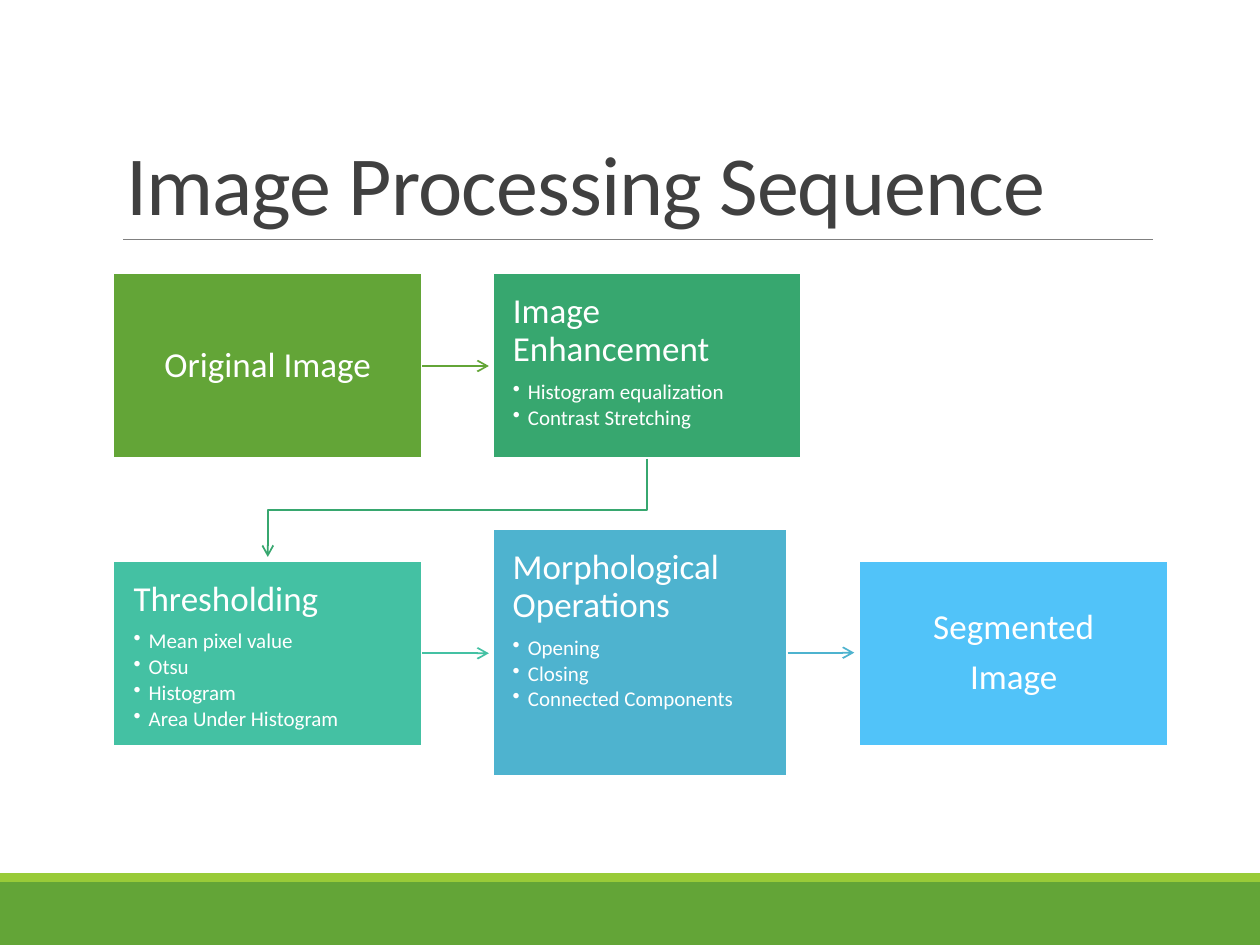
from dataclasses import dataclass

from lxml.etree import SubElement
from pptx import Presentation
from pptx.dml.color import RGBColor
from pptx.enum.shapes import MSO_CONNECTOR as Connector, MSO_SHAPE as Shape
from pptx.enum.text import MSO_ANCHOR as Anchor, MSO_AUTO_SIZE as AutoSize, PP_ALIGN as Align
from pptx.oxml.ns import qn
from pptx.util import Inches, Pt


@dataclass(frozen=True)
class Theme:
    font: str = "Calibri"
    title_size: float = 48
    heading_size: float = 20
    bullet_size: float = 12
    white: str = "FFFFFF"
    title: str = "404040"
    rule: str = "808080"
    green: str = "63A537"
    lime: str = "99CB38"
    emerald: str = "37A76F"
    teal: str = "44C1A3"
    blue: str = "4EB3CF"
    sky: str = "51C3F9"


def set_attributes(target, values):
    for name, value in values.items():
        setattr(target, name, value)


class SlideBuilder:
    def __init__(self, slide, theme):
        self.slide = slide
        self.theme = theme

    def add_text(self, paragraph, text, size, color, **paragraph_format):
        set_attributes(paragraph, paragraph_format)
        run = paragraph.add_run()
        run.text = text
        set_attributes(run.font, {"name": self.theme.font, "size": Pt(size)})
        run.font.color.rgb = RGBColor.from_string(color)
        return run

    def title(self, text, left, top, width, height):
        shape = self.slide.shapes.title
        set_attributes(shape, {"left": Inches(left), "top": Inches(top),
                               "width": Inches(width), "height": Inches(height)})
        frame = shape.text_frame
        set_attributes(frame, {"vertical_anchor": Anchor.BOTTOM, "word_wrap": True,
                               "auto_size": AutoSize.NONE})
        run = self.add_text(frame.paragraphs[0], text, self.theme.title_size,
                            self.theme.title, alignment=Align.LEFT, line_spacing=0.85)
        run._r.get_or_add_rPr().set("spc", "-50")

    def rectangle(self, left, top, width, height, color):
        shape = self.slide.shapes.add_shape(
            Shape.RECTANGLE, Inches(left), Inches(top), Inches(width), Inches(height))
        shape.shadow.inherit = False
        shape.fill.solid()
        shape.fill.fore_color.rgb = RGBColor.from_string(color)
        shape.line.fill.background()
        return shape

    def step(self, left, top, width, height, color, headings, bullets=()):
        """Add a process box: centred headings alone, or a heading above bullets."""
        shape = self.rectangle(left, top, width, height, color)
        self.stroke(shape, self.theme.white, 1.25)
        frame = shape.text_frame
        margins = ("margin_left", "margin_top", "margin_right", "margin_bottom")
        set_attributes(frame, dict.fromkeys(margins, Inches(0.16)))
        set_attributes(frame, {"word_wrap": True,
                               "vertical_anchor": Anchor.TOP if bullets else Anchor.MIDDLE})
        for index, text in enumerate(headings):
            paragraph = frame.add_paragraph() if index else frame.paragraphs[0]
            self.add_text(paragraph, text, self.theme.heading_size, self.theme.white,
                          alignment=Align.LEFT if bullets else Align.CENTER,
                          line_spacing=0.9, space_after=Pt(7))
        for text in bullets:
            paragraph = frame.add_paragraph()
            self.add_text(paragraph, text, self.theme.bullet_size, self.theme.white, level=1,
                          alignment=Align.LEFT, line_spacing=0.9, space_after=Pt(1.8))
            properties = paragraph._p.get_or_add_pPr()
            properties.set("marL", str(Inches(0.12)))
            properties.set("indent", str(Inches(-0.12)))
            SubElement(properties, qn("a:buChar"), char="•")
        return shape

    def stroke(self, shape, color, width, arrow=False):
        shape.line.color.rgb = RGBColor.from_string(color)
        shape.line.width = Pt(width)
        if arrow:
            outline = shape.element.spPr.find(qn("a:ln"))
            SubElement(outline, qn("a:tailEnd"), type="arrow")

    def line(self, start, end, color, width, arrow=False):
        connector = self.slide.shapes.add_connector(Connector.STRAIGHT, *start, *end)
        self.stroke(connector, color, width, arrow)
        SubElement(connector.element.spPr, qn("a:effectLst"))
        return connector

    def arrow_right(self, box, color):
        """Lead from the right side of a box to just short of the next one."""
        right, middle = box.left + box.width, box.top + box.height // 2
        connector = self.line((right, middle), (right + Inches(0.53), middle),
                              color, 1, arrow=True)
        connector.begin_connect(box, 3)

    def elbow_arrow(self, points, color):
        start, *rest = [(Inches(x), Inches(y)) for x, y in points]
        builder = self.slide.shapes.build_freeform(*start)
        builder.add_line_segments(rest, close=False)
        shape = builder.convert_to_shape()
        shape.shadow.inherit = False
        shape.fill.background()
        self.stroke(shape, color, 1, arrow=True)


def main():
    presentation = Presentation()
    presentation.slide_width, presentation.slide_height = Inches(10), Inches(7.5)
    theme = Theme()
    slide = SlideBuilder(presentation.slides.add_slide(presentation.slide_layouts[5]), theme)

    slide.rectangle(0, 7, 10, 0.5, theme.green)
    slide.rectangle(0, 6.93, 10, 0.07, theme.lime)
    slide.line((Inches(0.98), Inches(1.9)), (Inches(9.15), Inches(1.9)), theme.rule, 0.5)
    slide.title("Image Processing Sequence", 0.9, 0.31, 8.25, 1.59)

    columns = (0.9, 3.91, 6.82)
    upper, lower = 2.17, 4.45
    width, height = 2.45, 1.47
    original = slide.step(columns[0], upper, width, height, theme.green, ["Original Image"])
    slide.step(columns[1], upper, width, height, theme.emerald, ["Image Enhancement"],
               ["Histogram equalization", "Contrast Stretching"])
    thresholding = slide.step(
        columns[0], lower, width, height, theme.teal, ["Thresholding"],
        ["Mean pixel value", "Otsu", "Histogram", "Area Under Histogram"])
    morphology = slide.step(
        columns[1], 4.2, 2.34, 1.96, theme.blue, ["Morphological Operations"],
        ["Opening", "Closing", "Connected Components"])
    slide.step(columns[2], lower, width, height, theme.sky, ["Segmented", "Image"])

    slide.arrow_right(original, theme.green)
    slide.arrow_right(thresholding, theme.teal)
    slide.arrow_right(morphology, theme.blue)
    start_x, end_x = columns[1] + width / 2, columns[0] + width / 2
    slide.elbow_arrow([(start_x, upper + height), (start_x, 4.05), (end_x, 4.05),
                       (end_x, lower - 0.03)], theme.emerald)

    presentation.save("out.pptx")


if __name__ == "__main__":
    main()
